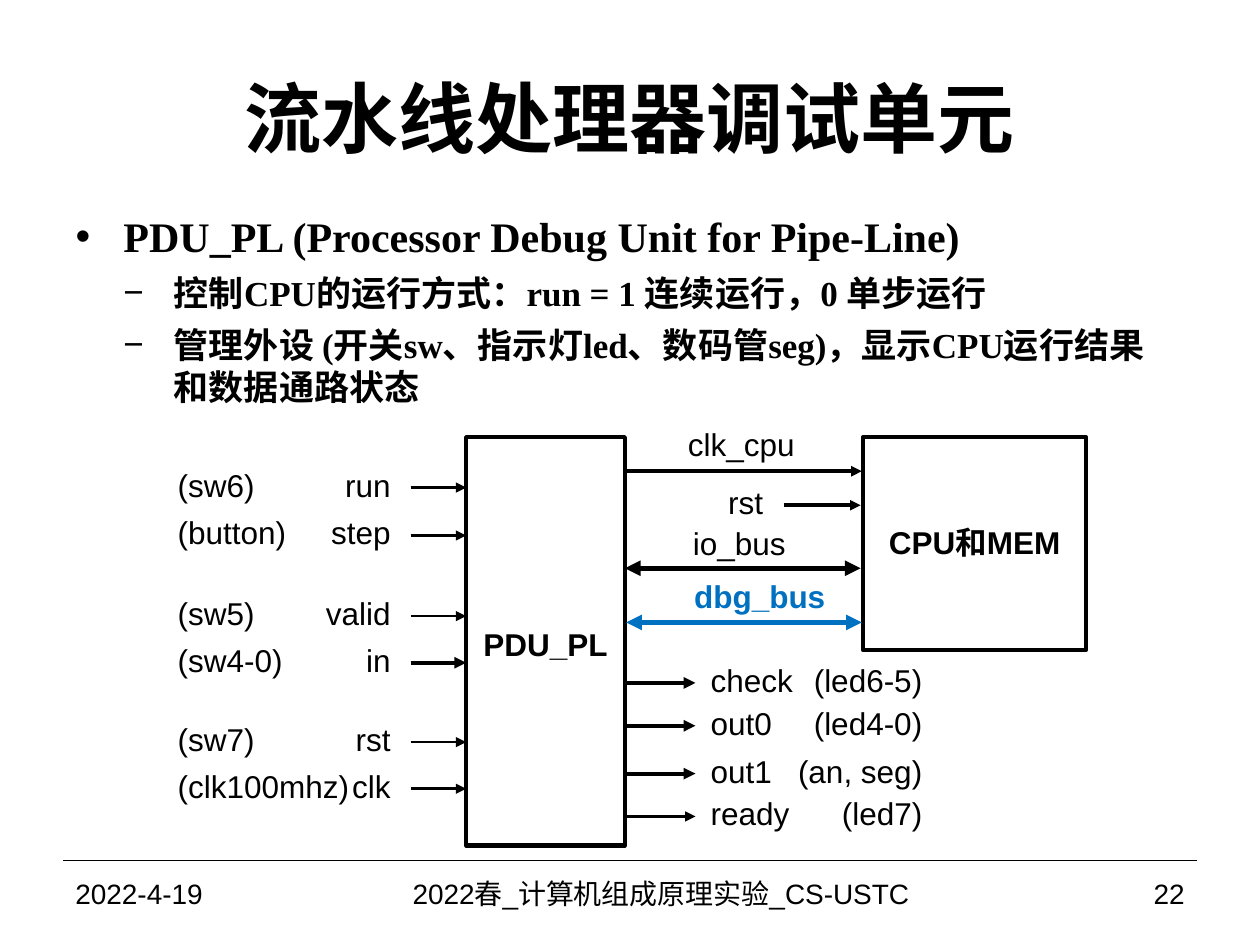
from dataclasses import dataclass

from lxml.etree import SubElement
from pptx import Presentation
from pptx.dml.color import RGBColor
from pptx.enum.shapes import MSO_CONNECTOR, MSO_SHAPE
from pptx.enum.text import MSO_ANCHOR, MSO_AUTO_SIZE, PP_ALIGN
from pptx.oxml.ns import qn
from pptx.slide import Slide
from pptx.util import Emu, Inches, Pt

SLIDE_WIDTH, SLIDE_HEIGHT = Inches(10), Inches(7.5)
COLUMNS, ROWS = 100, 75


@dataclass(frozen=True)
class Theme:
    """Colours, fonts and type sizes of the slide."""
    ink: RGBColor = RGBColor(0, 0, 0)
    accent: RGBColor = RGBColor(0x00, 0x70, 0xC0)
    sans: str = "Arial"
    serif: str = "Times New Roman"
    title: float = 44
    topic: float = 24
    detail: float = 20
    label: float = 18
    footer: float = 16


THEME = Theme()


@dataclass(frozen=True)
class Area:
    """A rectangle in grid columns and rows."""
    column: float
    row: float
    columns: float
    rows: float


@dataclass(frozen=True)
class Pin:
    """A signal of the debug unit with the board port it is wired to."""
    signal: str
    port: str
    row: float
    weight: float


@dataclass(frozen=True)
class Wire:
    """A connection drawn left to right with its label."""
    label: str
    label_column: float
    label_row: float
    start: float
    end: float
    row: float
    weight: float
    two_way: bool = False
    color: RGBColor = THEME.ink


@dataclass(frozen=True)
class Block:
    """A hardware unit drawn as a box."""
    area: Area
    weight: float


INPUTS = [
    Pin("run", "(sw6)", 38.7, 1.5),
    Pin("step", "(button)", 42.5, 1.5),
    Pin("valid", "(sw5)", 48.9, 1.5),
    Pin("in", "(sw4-0)", 52.6, 2.25),
    Pin("rst", "(sw7)", 58.9, 1.5),
    Pin("clk", "(clk100mhz)", 62.6, 1.5),
]
OUTPUTS = [
    Pin("check", "(led6-5)", 54.2, 2.25),
    Pin("out0", "(led4-0)", 57.6, 2.25),
    Pin("out1", "(an, seg)", 61.4, 2.25),
    Pin("ready", "(led7)", 64.8, 1.5),
]
WIRES = [
    Wire("clk_cpu", 54.6, 35.2, 49.7, 68.4, 37.4, 2),
    Wire("rst", 57.8, 39.8, 62.2, 68.3, 40.1, 2),
    Wire("io_bus", 55, 43.1, 49.6, 68.3, 45.1, 3, True),
    Wire("dbg_bus", 55.1, 47.3, 49.7, 68.4, 49.4, 3, True, THEME.accent),
]
DEBUG_UNIT = Block(Area(37, 34.7, 12.6, 32.4), 2.5)
PROCESSOR = Block(Area(68.5, 34.7, 17.7, 16.9), 2.25)
BULLETS = [
    (0, "PDU_PL (Processor Debug Unit for Pipe-Line)"),
    (1, "控制CPU的运行方式：run = 1 连续运行，0 单步运行"),
    (1, "管理外设 (开关sw、指示灯led、数码管seg)，显示CPU运行结果和数据通路状态"),
]
FOOTERS = [
    ("2022-4-19", 5, 23.3, PP_ALIGN.LEFT),
    ("2022春_计算机组成原理实验_CS-USTC", 28.3, 48.3, PP_ALIGN.CENTER),
    ("22", 76.7, 18.3, PP_ALIGN.RIGHT),
]


def across(columns: float) -> Emu:
    """Turn grid columns into a length."""
    return Emu(round(SLIDE_WIDTH * columns / COLUMNS))


def down(rows: float) -> Emu:
    """Turn grid rows into a length."""
    return Emu(round(SLIDE_HEIGHT * rows / ROWS))


def bounds(area: Area) -> tuple[Emu, Emu, Emu, Emu]:
    """Give left, top, width and height of an area."""
    return across(area.column), down(area.row), across(area.columns), down(area.rows)


def place(shape, area: Area) -> None:
    """Move a placeholder to an area."""
    shape.left, shape.top, shape.width, shape.height = bounds(area)


def style(paragraph, size: float, bold: bool = False, font: str = THEME.sans,
          color: RGBColor = THEME.ink) -> None:
    """Format all runs of a paragraph."""
    for run in paragraph.runs:
        run.font.size, run.font.bold, run.font.name = Pt(size), bold, font
        run.font.color.rgb = color


def add_text(slide: Slide, text: str, area: Area, size: float = THEME.label,
             align: PP_ALIGN = PP_ALIGN.LEFT, bold: bool = False,
             color: RGBColor = THEME.ink, inset: float = 0) -> None:
    """Add one line of text, centred vertically in its area."""
    frame = slide.shapes.add_textbox(*bounds(area)).text_frame
    frame.margin_left = frame.margin_right = across(inset)
    frame.margin_top = frame.margin_bottom = 0
    frame.vertical_anchor = MSO_ANCHOR.MIDDLE
    frame.word_wrap = True
    frame.text = text
    frame.paragraphs[0].alignment = align
    style(frame.paragraphs[0], size, bold, color=color)


def add_line(slide: Slide, start: float, end: float, row: float, weight: float,
             heads: tuple[str, ...] = ("tailEnd",), color: RGBColor = THEME.ink) -> None:
    """Add a horizontal line with the given arrowheads."""
    line = slide.shapes.add_connector(
        MSO_CONNECTOR.STRAIGHT, across(start), down(row), across(end), down(row))
    line.line.color.rgb = color
    line.line.width = Pt(weight)
    for head in heads:
        SubElement(line.line._get_or_add_ln(), qn(f"a:{head}"), type="triangle")
    SubElement(line._element.spPr, qn("a:effectLst"))


def add_block(slide: Slide, block: Block):
    """Add the outline of a hardware unit."""
    shape = slide.shapes.add_shape(MSO_SHAPE.RECTANGLE, *bounds(block.area))
    shape.shadow.inherit = False
    shape.fill.background()
    shape.line.color.rgb = THEME.ink
    shape.line.width = Pt(block.weight)


def add_wire(slide: Slide, wire: Wire) -> None:
    """Add a wire and its label."""
    heads = ("headEnd", "tailEnd") if wire.two_way else ("tailEnd",)
    add_line(slide, wire.start, wire.end, wire.row, wire.weight, heads, wire.color)
    add_text(slide, wire.label, Area(wire.label_column, wire.label_row - 1.5, 12, 3),
             bold=wire.color == THEME.accent, color=wire.color)


def add_pin(slide: Slide, pin: Pin, is_input: bool) -> None:
    """Add the arrow, signal name and port of a pin."""
    top = pin.row - 1.75
    if is_input:
        add_line(slide, 32.6, 37, pin.row, pin.weight)
        add_text(slide, pin.port, Area(14.1, top, 14.5, 3))
        add_text(slide, pin.signal, Area(25, top, 6, 3), align=PP_ALIGN.RIGHT)
    else:
        add_line(slide, 49.7, 55.2, pin.row, pin.weight)
        add_text(slide, pin.signal, Area(56.4, top, 8, 3))
        add_text(slide, pin.port, Area(62.2, top, 11, 3), align=PP_ALIGN.RIGHT)


def fill_title(slide: Slide) -> None:
    """Write the title placeholder."""
    title = slide.shapes.title
    place(title, Area(5, 3, 90, 12.5))
    frame = title.text_frame
    frame.text = "流水线处理器调试单元"
    frame.auto_size = MSO_AUTO_SIZE.NONE
    frame.vertical_anchor = MSO_ANCHOR.MIDDLE
    frame.paragraphs[0].alignment = PP_ALIGN.CENTER
    style(frame.paragraphs[0], THEME.title, True)


def fill_body(slide: Slide) -> None:
    """Write the bullet list into the body placeholder."""
    body = slide.placeholders[1]
    place(body, Area(5, 16.2, 88.3, 17.4))
    frame = body.text_frame
    frame.text = "\n".join(text for _, text in BULLETS)
    frame.auto_size = MSO_AUTO_SIZE.NONE
    for index, (paragraph, (level, _)) in enumerate(zip(frame.paragraphs, BULLETS)):
        paragraph.level = level
        properties = paragraph._p.get_or_add_pPr()
        indent = (3.8, 4)[level]
        properties.set("marL", str(across((3.8, 7.8)[level])))
        properties.set("indent", str(-across(indent)))
        SubElement(properties, qn("a:buChar"), char="•−"[level])
        paragraph.space_before = Pt(6 if index else 0)
        style(paragraph, (THEME.topic, THEME.detail)[level], True, THEME.serif)


def main() -> None:
    """Build the slide and save it."""
    presentation = Presentation()
    presentation.slide_width, presentation.slide_height = SLIDE_WIDTH, SLIDE_HEIGHT
    slide = presentation.slides.add_slide(presentation.slide_layouts[1])
    fill_title(slide)
    fill_body(slide)
    add_line(slide, 5, 95, 68.3, 0.75, heads=())
    for text, column, columns, align in FOOTERS:
        add_text(slide, text, Area(column, 68.3, columns, 5.2), THEME.footer, align, inset=1)
    for block, name, row in ((DEBUG_UNIT, "PDU_PL", 51.1), (PROCESSOR, "CPU和MEM", 43)):
        add_block(slide, block)
        add_text(slide, name, Area(block.area.column, row - 1.5, block.area.columns, 3),
                 align=PP_ALIGN.CENTER, bold=True)
    for wire in WIRES:
        add_wire(slide, wire)
    for pin in INPUTS + OUTPUTS:
        add_pin(slide, pin, pin in INPUTS)
    presentation.save("out.pptx")


if __name__ == "__main__":
    main()
